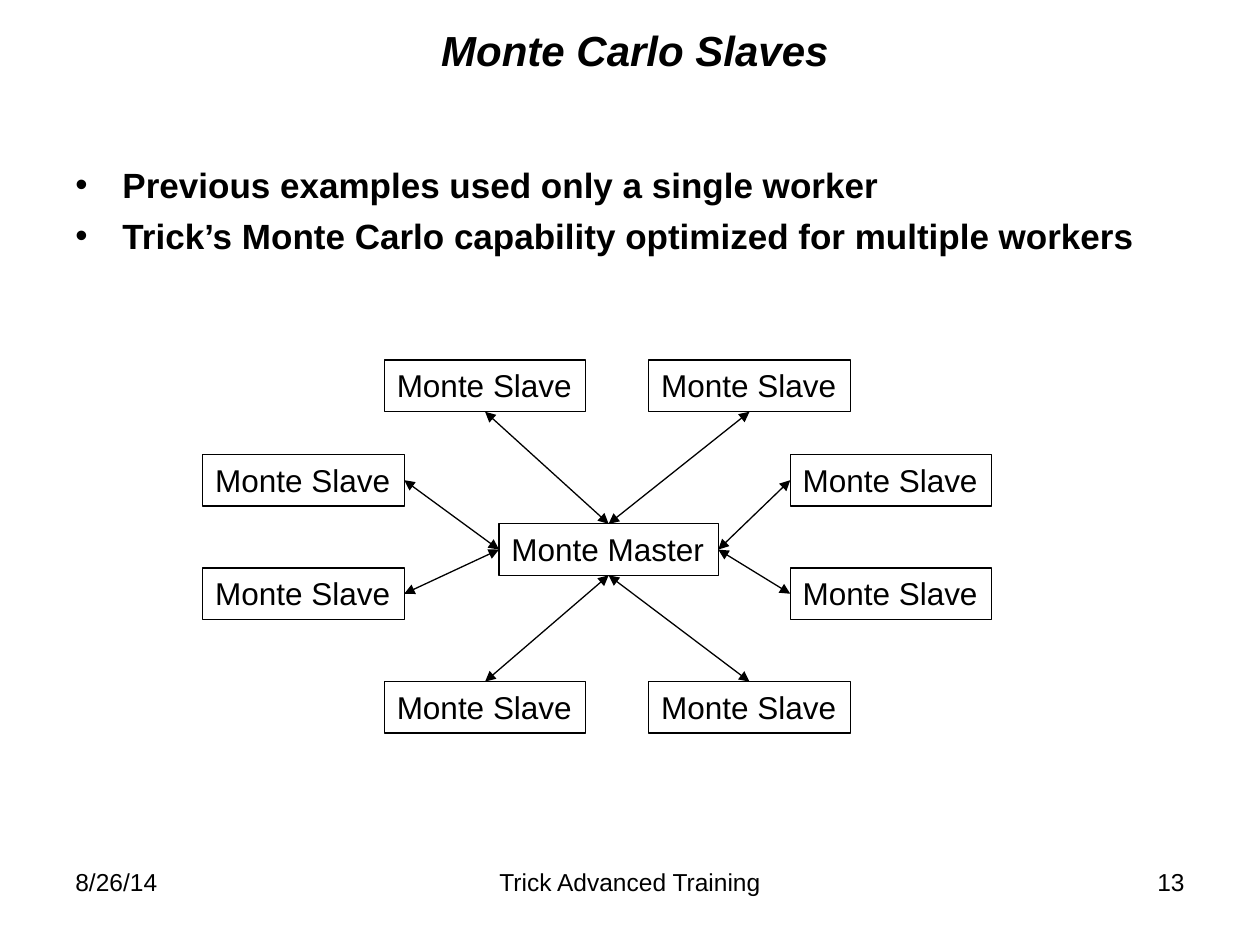
from lxml import etree
from pptx import Presentation
from pptx import util as u
from pptx.dml import color
from pptx.enum import shapes, text
from pptx.oxml import ns

BLACK = "000000"
SLAVE_SIZE = (4.06, 1.04)
MASTER = (5.97, 3.3, 4.42, 1.04)
TOP, LEFT, BOTTOM, RIGHT = range(4)
SLAVES = [
    (3.66, 0, TOP),
    (8.99, 0, TOP),
    (11.84, 1.9, RIGHT),
    (11.84, 4.19, RIGHT),
    (8.99, 6.48, BOTTOM),
    (3.66, 6.48, BOTTOM),
    (0, 4.19, LEFT),
    (0, 1.9, LEFT),
]


def rgb(code):
    return color.RGBColor.from_string(code)


def add_run(paragraph, wording, size, bold=False, italic=False):
    run = paragraph.add_run()
    run.text = wording
    run.font.name = "Arial"
    run.font.size = u.Pt(size)
    run.font.bold = bold
    run.font.italic = italic
    run.font.color.rgb = rgb(BLACK)


def add_frame(slide, box):
    frame = slide.shapes.add_textbox(*map(u.Cm, box)).text_frame
    frame.word_wrap = True
    return frame


def add_title(slide, box, wording):
    frame = add_frame(slide, box)
    frame.vertical_anchor = text.MSO_ANCHOR.MIDDLE
    heading = frame.paragraphs[0]
    heading.alignment = text.PP_ALIGN.CENTER
    add_run(heading, wording, 24, bold=True, italic=True)


def add_points(slide, box, points):
    frame = add_frame(slide, box)
    for index, wording in enumerate(points):
        point = frame.add_paragraph() if index else frame.paragraphs[0]
        properties = point._p.get_or_add_pPr()
        properties.set("marL", str(u.Cm(0.95)))
        properties.set("indent", str(-u.Cm(0.95)))
        etree.SubElement(properties, ns.qn("a:buFont"), typeface="Arial")
        etree.SubElement(properties, ns.qn("a:buChar"), char="•")
        if index:
            point.space_before = u.Pt(5)
        add_run(point, wording, 20, bold=True)


def add_node(slide, box, wording):
    node = slide.shapes.add_shape(shapes.MSO_SHAPE.RECTANGLE, *map(u.Cm, box))
    node.shadow.inherit = False
    node.fill.background()
    node.line.color.rgb = rgb(BLACK)
    node.line.width = u.Pt(0.75)
    frame = node.text_frame
    frame.word_wrap = False
    frame.auto_size = text.MSO_AUTO_SIZE.SHAPE_TO_FIT_TEXT
    frame.vertical_anchor = text.MSO_ANCHOR.TOP
    label = frame.paragraphs[0]
    label.alignment = text.PP_ALIGN.LEFT
    add_run(label, wording, 18)
    return node


def add_link(slide, master, slave, side):
    link = slide.shapes.add_connector(shapes.MSO_CONNECTOR.STRAIGHT, 0, 0, 0, 0)
    link.begin_connect(master, side)
    link.end_connect(slave, (side + 2) % 4)
    link.line.color.rgb = rgb(BLACK)
    link.line.width = u.Pt(0.75)
    outline = link.line._get_or_add_ln()
    for end in ("a:headEnd", "a:tailEnd"):
        etree.SubElement(outline, ns.qn(end), type="triangle")
    etree.SubElement(link._element.spPr, ns.qn("a:effectLst"))


def add_network(slide, box):
    left, top = box[:2]
    x, y, width, height = MASTER
    master = add_node(slide, (left + x, top + y, width, height), "Monte Master")
    slaves = [
        (add_node(slide, (left + x, top + y, *SLAVE_SIZE), "Monte Slave"), side)
        for x, y, side in SLAVES
    ]
    for slave, side in slaves:
        add_link(slide, master, slave, side)


def add_footer(slide, box):
    left, top, width, height = box
    side_width, middle_width = 5.92, 8.05
    parts = [
        (0, side_width, text.PP_ALIGN.LEFT, "8/26/14"),
        ((width - middle_width) / 2, middle_width, text.PP_ALIGN.CENTER,
         "Trick Advanced Training"),
        (width - side_width, side_width, text.PP_ALIGN.RIGHT, "13"),
    ]
    for offset, part_width, alignment, wording in parts:
        frame = add_frame(slide, (left + offset, top, part_width, height))
        entry = frame.paragraphs[0]
        entry.alignment = alignment
        add_run(entry, wording, 14)


def main():
    deck = Presentation()
    deck.slide_width, deck.slide_height = u.Cm(25.4), u.Cm(19.05)
    slide = deck.slides.add_slide(deck.slide_layouts[6])
    add_footer(slide, (1.27, 17.35, 22.86, 1.32))
    add_title(slide, (2.54, 0.43, 20.52, 1.14), "Monte Carlo Slaves")
    add_points(slide, (1.27, 3.18, 22.86, 13.84), [
        "Previous examples used only a single worker",
        "Trick’s Monte Carlo capability optimized for multiple workers",
    ])
    add_network(slide, (4.09, 7.26, 15.9, 7.52))
    deck.save("out.pptx")


if __name__ == "__main__":
    main()
